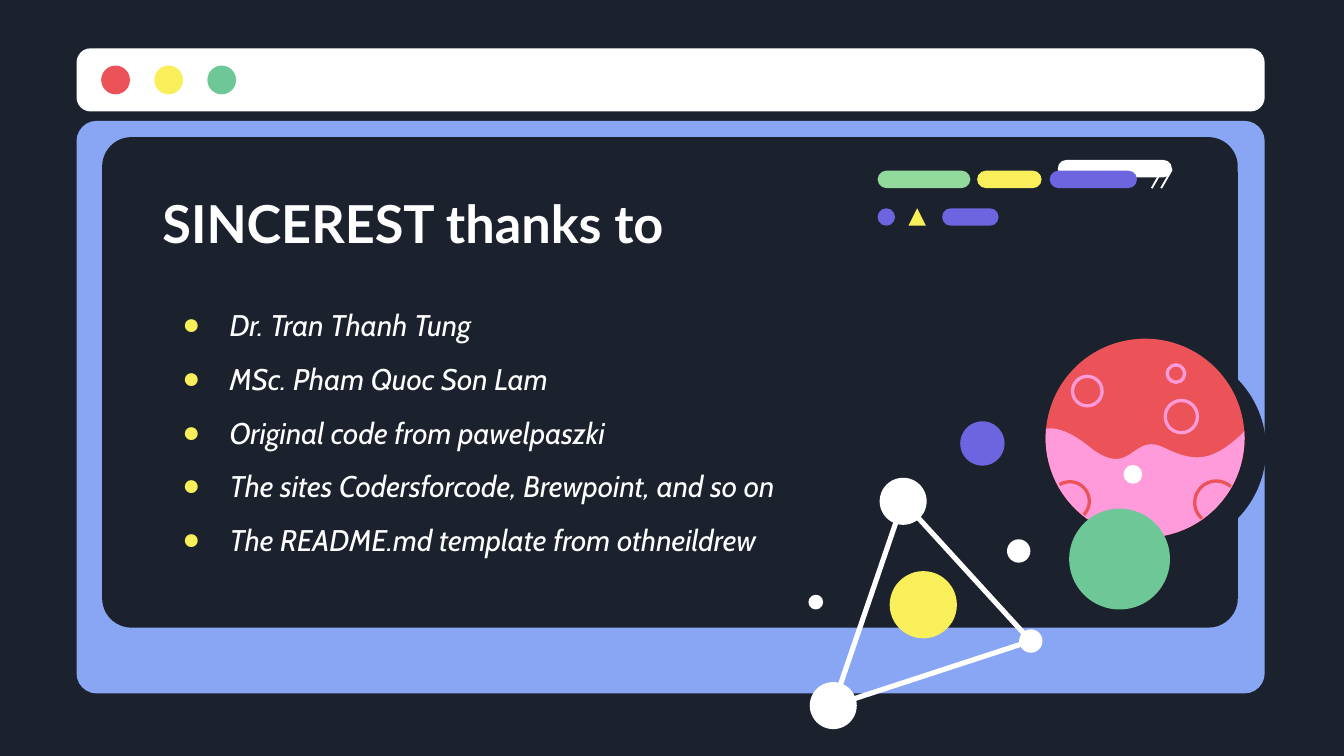
from math import cos, radians, sin

from lxml.etree import SubElement
from pptx import Presentation
from pptx.dml.color import RGBColor
from pptx.enum.shapes import MSO_CONNECTOR as CONN, MSO_SHAPE as SHAPE
from pptx.enum.text import MSO_ANCHOR as ANCHOR
from pptx.oxml.ns import qn
from pptx.util import Inches, Pt

DARK, WHITE, BLUE = "1B222D", "FFFFFF", "88A6F3"
RED, YELLOW, GREEN = "EB5358", "F8EF5B", "6DC797"
PURPLE, MINT, PINK = "6D65E0", "92D99C", "FF9BDA"
THANKS = [
    "Dr. Tran Thanh Tung",
    "MSc. Pham Quoc Son Lam",
    "Original code from pawelpaszki",
    "The sites Codersforcode, Brewpoint, and so on",
    "The README.md template from othneildrew",
]


def rgb(color):
    """Turn a hex string into a colour."""
    return RGBColor.from_string(color)


def paint(sp, fill=None, line=None, width=1.75):
    """Set the fill and outline of a shape and drop its shadow."""
    sp.shadow.inherit = False
    if fill:
        sp.fill.solid()
        sp.fill.fore_color.rgb = rgb(fill)
    else:
        sp.fill.background()
    if line:
        sp.line.color.rgb = rgb(line)
        sp.line.width = Pt(width)
    else:
        sp.line.fill.background()


def add_preset(s, kind, x, y, w, h, fill, adj=None):
    """Add a filled preset shape."""
    sp = s.shapes.add_shape(kind, Inches(x), Inches(y), Inches(w), Inches(h))
    if adj is not None:
        sp.adjustments[0] = adj
    paint(sp, fill)


def add_dot(s, cx, cy, r, fill=None, line=None):
    """Add a circle around a centre."""
    sp = s.shapes.add_shape(SHAPE.OVAL, Inches(cx - r), Inches(cy - r), Inches(2 * r), Inches(2 * r))
    paint(sp, fill, line)


def add_line(s, start, end, width):
    """Add a white straight line."""
    c = s.shapes.add_connector(CONN.STRAIGHT, *(Inches(v) for v in (*start, *end)))
    c.line.color.rgb = rgb(WHITE)
    c.line.width = Pt(width)
    SubElement(c._element.spPr, qn("a:effectLst"))


def add_outline(s, points, fill=None, line=None):
    """Add a freeform through points, closed when it is filled."""
    pts = [(Inches(x), Inches(y)) for x, y in points]
    fb = s.shapes.build_freeform(*pts[0])
    fb.add_line_segments(pts[1:], close=fill is not None)
    paint(fb.convert_to_shape(), fill, line)


def arc(cx, cy, r, a0, a1, n=48):
    """List points on an arc, in degrees clockwise from the right."""
    angles = [radians(a0 + (a1 - a0) * i / n) for i in range(n + 1)]
    return [(cx + r * cos(a), cy + r * sin(a)) for a in angles]


def bezier(p0, p1, p2, p3, n=20):
    """List points on a cubic curve, after its start."""
    pts = []
    for i in range(1, n + 1):
        t = i / n
        u = 1 - t
        k = (u**3, 3 * u * u * t, 3 * u * t * t, t**3)
        pts.append(tuple(sum(f * p[d] for f, p in zip(k, (p0, p1, p2, p3))) for d in (0, 1)))
    return pts


def add_window(s, x, y, w, h):
    """Draw the browser window with its title bar and buttons."""
    top = 0.54
    add_preset(s, SHAPE.ROUNDED_RECTANGLE, x, y + top, w, h - top, BLUE, 0.035)
    add_preset(s, SHAPE.ROUNDED_RECTANGLE, x + 0.19, y + 0.66, w - 0.39, h - 1.15, DARK, 0.06)
    add_preset(s, SHAPE.ROUNDED_RECTANGLE, x, y, w, 0.47, WHITE, 0.223)
    for i, color in enumerate((RED, YELLOW, GREEN)):
        add_dot(s, x + 0.29 + 0.395 * i, y + 0.235, 0.107, color)


def add_code_bars(s, x, y):
    """Draw the coloured bars at the upper right."""
    bars = [
        (1.34, 0, 0.85, WHITE), (0, 0.08, 0.69, MINT), (0.74, 0.08, 0.48, YELLOW),
        (1.28, 0.08, 0.65, PURPLE), (0, 0.36, 0.13, PURPLE), (0.48, 0.36, 0.42, PURPLE),
    ]
    for dx, dy, w, color in bars:
        add_preset(s, SHAPE.ROUNDED_RECTANGLE, x + dx, y + dy, w, 0.13, color, 0.5)
    add_preset(s, SHAPE.ISOSCELES_TRIANGLE, x + 0.23, y + 0.36, 0.13, 0.13, YELLOW)
    for dx in (2.04, 2.11):
        add_line(s, (x + dx, y + 0.21), (x + dx + 0.08, y + 0.07), 1)


def add_planet(s, cx, cy, r):
    """Draw the cratered planet and its shadow."""
    add_dot(s, cx + 0.16, cy + 0.08, r, DARK)
    add_dot(s, cx, cy, r, RED)
    for dx, dy, size in ((-0.43, -0.35, 0.11), (0.27, -0.16, 0.12), (0.23, -0.48, 0.065)):
        add_dot(s, cx + dx, cy + dy, size, line=PINK)
    wave = [
        (0.74, -0.05), (0.51, 0.17), (0.38, 0.19), (0.14, 0.07), (-0.1, -0.05),
        (-0.1, 0.32), (-0.42, 0.06), (-0.57, -0.06), (-0.67, -0.08), (-0.73, -0.07),
    ]
    wave = [(cx + dx, cy + dy) for dx, dy in wave]
    land = arc(cx, cy, r, 185.5, -4)
    for i in (0, 3, 6):
        land += bezier(*wave[i:i + 4])
    add_outline(s, land, fill=PINK)
    add_outline(s, arc(cx - 0.56, cy + 0.47, 0.145, -122, 44), line=RED)
    add_outline(s, arc(cx + 0.53, cy + 0.48, 0.16, -48, -228), line=RED)
    add_dot(s, cx - 0.09, cy + 0.27, 0.07, WHITE)


def add_network(s, x, y):
    """Draw the linked nodes and the loose dots around them."""
    add_dot(s, x + 0.85, y + 0.94, 0.25, YELLOW)
    nodes = [(x + 0.7, y + 0.17, 0.175), (x + 0.18, y + 1.69, 0.175), (x + 1.65, y + 1.21, 0.087)]
    for i, node in enumerate(nodes):
        add_line(s, node[:2], nodes[i - 1][:2], 2.75)
    for node in nodes:
        add_dot(s, *node, WHITE)
    add_dot(s, x + 1.56, y + 0.54, 0.087, WHITE)
    add_dot(s, x + 0.05, y + 0.92, 0.055, WHITE)
    add_dot(s, x + 1.29, y - 0.26, 0.165, PURPLE)
    add_dot(s, x + 2.31, y + 0.6, 0.375, GREEN)


def add_text_box(s, x, y, w, h):
    """Add a wrapping text box with even insets."""
    tf = s.shapes.add_textbox(Inches(x), Inches(y), Inches(w), Inches(h)).text_frame
    tf.word_wrap = True
    tf.margin_left = tf.margin_right = tf.margin_top = tf.margin_bottom = Inches(0.1)
    return tf


def add_run(p, text, font, size, bold=False, italic=False):
    """Add a white run to a paragraph."""
    r = p.add_run()
    r.text = text
    r.font.name, r.font.size = font, Pt(size)
    r.font.bold, r.font.italic = bold, italic
    r.font.color.rgb = rgb(WHITE)


def add_bullet(p):
    """Give a paragraph a yellow hanging bullet."""
    pPr = p._p.get_or_add_pPr()
    pPr.set("marL", str(Inches(0.5)))
    pPr.set("indent", str(Inches(-0.35)))
    SubElement(SubElement(pPr, qn("a:buClr")), qn("a:srgbClr"), val=YELLOW)
    SubElement(pPr, qn("a:buFont"), typeface="Arial")
    SubElement(pPr, qn("a:buChar"), char="●")


def add_thanks(s, x, y, w, h):
    """Write the heading and the list of people and sources."""
    tf = add_text_box(s, x, y, 4.35, 0.63)
    tf.vertical_anchor = ANCHOR.MIDDLE
    add_run(tf.paragraphs[0], "SINCEREST thanks to", "Lato", 28, bold=True)
    tf = add_text_box(s, x, y + 0.71, w, h - 0.71)
    for i, text in enumerate(THANKS):
        p = tf.add_paragraph() if i else tf.paragraphs[0]
        add_bullet(p)
        p.line_spacing = 1.5
        add_run(p, text, "Cabin", 16, italic=True)


def main():
    """Build and save the slide."""
    prs = Presentation()
    prs.slide_width, prs.slide_height = Inches(10), Inches(5.625)
    s = prs.slides.add_slide(prs.slide_layouts[6])
    s.background.fill.solid()
    s.background.fill.fore_color.rgb = rgb(DARK)
    add_window(s, 0.57, 0.36, 8.84, 4.8)
    add_code_bars(s, 6.53, 1.19)
    add_planet(s, 8.52, 3.26, 0.74)
    add_network(s, 6.02, 3.56)
    add_thanks(s, 1.11, 1.34, 5.54, 2.94)
    prs.save("out.pptx")


if __name__ == "__main__":
    main()
